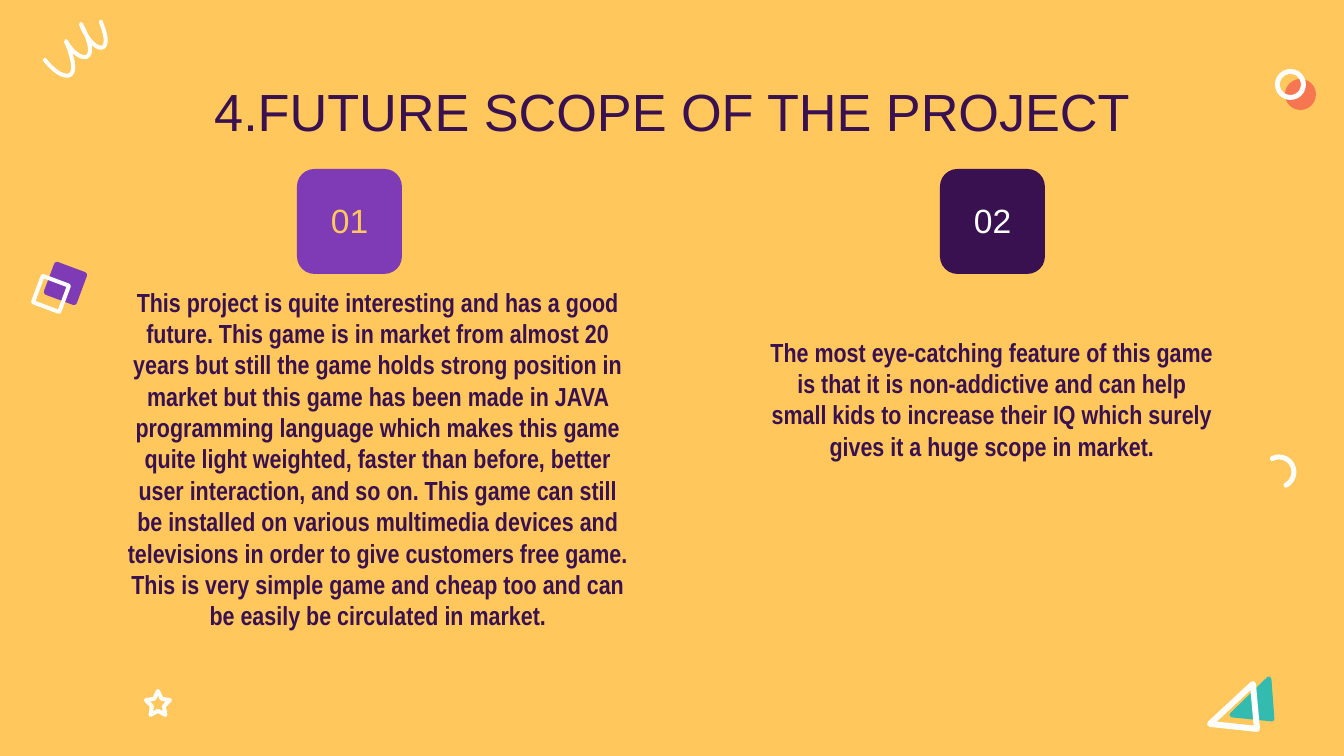
from dataclasses import dataclass

from lxml.etree import SubElement
from pptx import Presentation
from pptx.dml.color import RGBColor as Rgb
from pptx.enum.shapes import MSO_SHAPE as Preset
from pptx.enum.text import MSO_ANCHOR as Anchor, PP_ALIGN as Align
from pptx.oxml.ns import qn
from pptx.util import Pt

EMU_PER_PX = 914400 / 134.4


@dataclass(frozen=True)
class Theme:
    sun: str = "FFC75C"
    plum: str = "3A1150"
    violet: str = "7F3BB6"
    coral: str = "F67652"
    teal: str = "33BBAF"
    white: str = "FFFFFF"
    heading_font: str = "Arial"
    body_font: str = "Arial Narrow"
    title_size: int = 28
    number_size: int = 18
    body_size: int = 14


THEME = Theme()


def px(length):
    return round(length * EMU_PER_PX)


def paint(shape, fill=None, line=None, width=4):
    """Flat fill and round-jointed outline, each optional."""
    shape.shadow.inherit = False
    if fill:
        shape.fill.solid()
        shape.fill.fore_color.rgb = Rgb.from_string(fill)
    else:
        shape.fill.background()
    if line:
        shape.line.color.rgb = Rgb.from_string(line)
        shape.line.width = px(width)
        outline = shape.element.spPr.find(qn("a:ln"))
        outline.set("cap", "rnd")
        SubElement(outline, qn("a:round"))
    else:
        shape.line.fill.background()


def add_preset(page, preset, box, adjustments=(), rotation=0, **colors):
    shape = page.shapes.add_shape(preset, *map(px, box))
    for index, value in enumerate(adjustments):
        shape.adjustments[index] = value
    shape.rotation = rotation
    paint(shape, **colors)


def add_outline(page, origin, points, close=True, **colors):
    left, top = origin
    start, *rest = [(px(left + x), px(top + y)) for x, y in points]
    builder = page.shapes.build_freeform(*start)
    builder.add_line_segments(rest, close=close)
    paint(builder.convert_to_shape(), **colors)


def add_text(page, box, text, size, color, font, insets, bold=False, space_after=0):
    frame = page.shapes.add_textbox(*map(px, box)).text_frame
    side, top = insets
    frame.word_wrap = True
    frame.vertical_anchor = Anchor.TOP
    frame.margin_left = frame.margin_right = px(side)
    frame.margin_top, frame.margin_bottom = px(top), px(13)
    para = frame.paragraphs[0]
    para.text = text
    para.alignment = Align.CENTER
    para.space_after = Pt(space_after)
    span = para.runs[0].font
    span.name, span.size, span.bold = font, Pt(size), bold
    span.color.rgb = Rgb.from_string(color)


def bezier(start, control_1, control_2, end, steps=16):
    def at(t):
        weights = ((1 - t) ** 3, 3 * t * (1 - t) ** 2, 3 * t * t * (1 - t), t ** 3)
        corners = (start, control_1, control_2, end)
        return tuple(sum(w * c[axis] for w, c in zip(weights, corners)) for axis in (0, 1))

    return [at(step / steps) for step in range(steps + 1)]


# Decorations
def squiggle(page, left, top):
    loops = [
        ((0, 38), (15, 58), (41, 66), (21, 19)),
        ((21, 19), (33, 42), (59, 44), (36, 2)),
        ((36, 2), (47, 32), (71, 36), (56, 0)),
    ]
    points = [point for loop in loops for point in bezier(*loop)]
    add_outline(page, (left, top), points, close=False, line=THEME.white)


def squares(page, left, top):
    add_preset(page, Preset.ROUNDED_RECTANGLE, (left + 16, top + 4, 35, 35),
               [0.09], 20.4, fill=THEME.violet)
    add_preset(page, Preset.ROUNDED_RECTANGLE, (left + 5, top + 18, 28, 28),
               [0.03], 20.4, line=THEME.white)


def circles(page, left, top):
    add_preset(page, Preset.OVAL, (left + 10, top + 10, 31, 31), fill=THEME.coral)
    add_preset(page, Preset.DONUT, (left, top, 31, 31), [0.16], fill=THEME.white)


def triangles(page, left, top):
    add_outline(page, (left, top), [(59, 3), (62, 43), (22, 39)],
                fill=THEME.teal, line=THEME.teal, width=5)
    add_outline(page, (left, top), [(43, 8), (47, 53), (0, 48)],
                line=THEME.white, width=6)


def arc(page, left, top):
    start, end = (degrees * 0.6 for degrees in (243, 62))
    add_preset(page, Preset.ARC, (left, top, 30, 30), [start, end],
               line=THEME.white, width=5)


def star(page, left, top):
    add_preset(page, Preset.STAR_5_POINT, (left, top, 24, 24), [0.25], line=THEME.white)


# Numbered column
def scope_column(page, tile_left, tile_top, number, colors, body_box, body):
    tile_color, number_color = colors
    add_preset(page, Preset.ROUNDED_RECTANGLE, (tile_left, tile_top, 105, 105),
               [0.167], fill=tile_color)
    add_text(page, (tile_left + 12, tile_top + 14, 81, 77), number, THEME.number_size,
             number_color, THEME.heading_font, (13, 17), space_after=16)
    add_text(page, body_box, body, THEME.body_size, THEME.plum, THEME.body_font,
             (20, 13), bold=True, space_after=16)


def scope_slide(page):
    page.background.fill.solid()
    page.background.fill.fore_color.rgb = Rgb.from_string(THEME.sun)

    squares(page, 32, 262)
    circles(page, 1275, 69)
    triangles(page, 1210, 676)
    arc(page, 1264, 457)
    star(page, 146, 691)
    squiggle(page, 45, 22)

    add_text(page, (138, 60, 1068, 81), "4.FUTURE SCOPE OF THE PROJECT",
             THEME.title_size, THEME.plum, THEME.heading_font, (13, 19))
    scope_column(
        page, 297, 169, "01", (THEME.violet, THEME.sun), (106, 273, 544, 452),
        "This project is quite interesting and has a good future. This game is in market "
        "from almost 20 years but still the game holds strong position in market but this "
        "game has been made in JAVA programming language which makes this game quite light "
        "weighted, faster than before, better user interaction, and so on. This game can "
        "still be installed on various multimedia devices and televisions in order to give "
        "customers free game. This is very simple game and cheap too and can be easily be "
        "circulated in market.")
    scope_column(
        page, 940, 169, "02", (THEME.plum, THEME.white), (749, 323, 486, 329),
        "The most eye-catching feature of this game is that it is non-addictive and can "
        "help small kids to increase their IQ which surely gives it a huge scope in market.")


def main():
    deck = Presentation()
    deck.slide_width, deck.slide_height = px(1344), px(756)
    scope_slide(deck.slides.add_slide(deck.slide_layouts[6]))
    deck.save("out.pptx")


if __name__ == "__main__":
    main()
